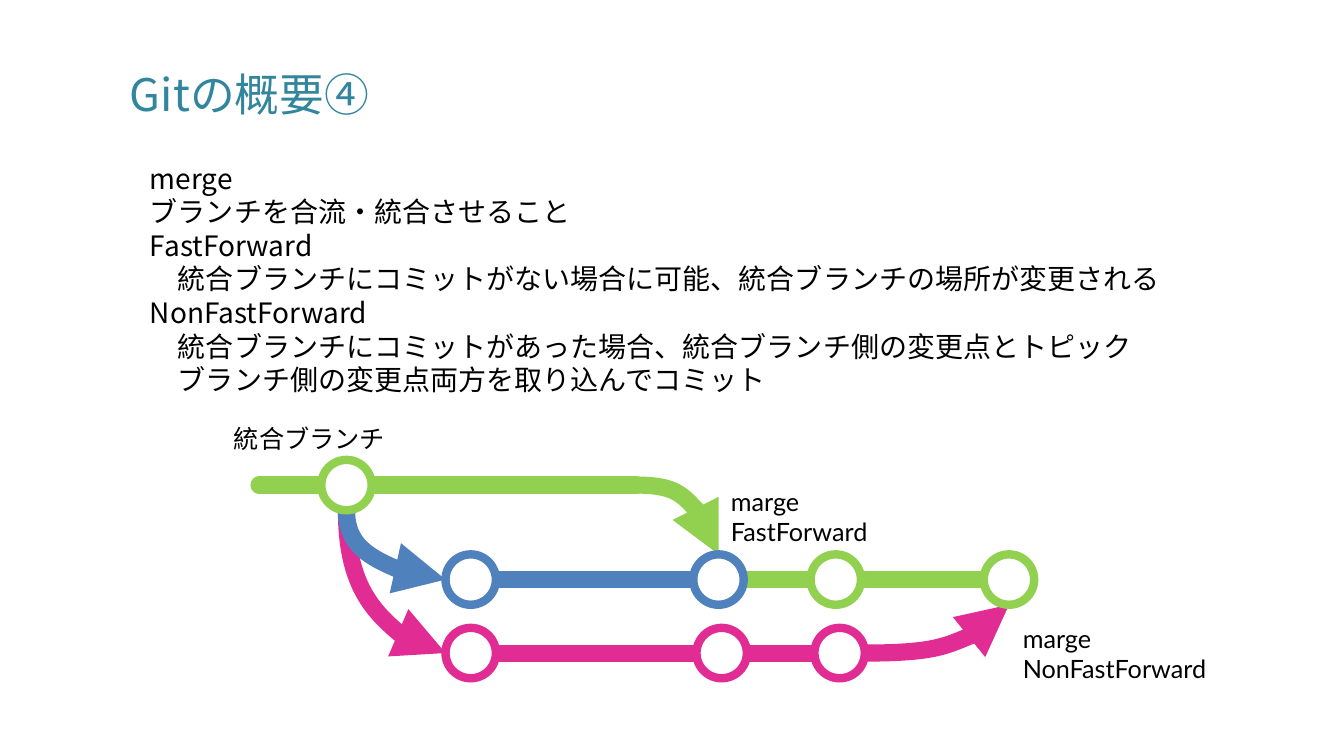
"""Slide on Git merging: fast-forward and non-fast-forward branch diagram."""
from lxml.etree import SubElement
from pptx import Presentation
from pptx.dml.color import RGBColor
from pptx.enum.shapes import MSO_CONNECTOR, MSO_SHAPE
from pptx.enum.text import MSO_AUTO_SIZE
from pptx.oxml.ns import qn
from pptx.util import Pt

TEAL = RGBColor(0x31, 0x85, 0x9C)
BLACK = RGBColor(0, 0, 0)
WHITE = RGBColor(0xFF, 0xFF, 0xFF)
GREEN = RGBColor(0x92, 0xD0, 0x50)
BLUE = RGBColor(0x4F, 0x81, 0xBD)
PINK = RGBColor(0xE0, 0x2C, 0x93)
GOTHIC = "Noto Sans CJK JP"
LATO = "Lato"

MAIN_Y, TOPIC_Y, LOWER_Y = 346.5, 414, 466.5
ROOT_X, FORK_X, BEND_X = 247.5, 336.25, 454.5
FAST_X, NEXT_X, FINAL_X = 513.25, 597, 720.75
LOWER_MID_X, LOWER_LAST_X = 515.5, 599.75
RADIUS = 18

prs = Presentation()
prs.slide_width, prs.slide_height = Pt(960), Pt(540)
slide = prs.slides.add_slide(prs.slide_layouts[6])


def add_text(lines, box, size, font, color, spacing=None, wrap=True):
    frame = slide.shapes.add_textbox(*map(Pt, box)).text_frame
    frame.word_wrap = wrap
    frame.auto_size = MSO_AUTO_SIZE.NONE if wrap else MSO_AUTO_SIZE.SHAPE_TO_FIT_TEXT
    frame.text = "\n".join(lines)
    for paragraph in frame.paragraphs:
        paragraph.line_spacing = spacing
        for run in paragraph.runs:
            run.font.size = Pt(size)
            run.font.name = font
            run.font.color.rgb = color
            SubElement(run.font._element, qn("a:ea"), typeface=font)


def add_branch(kind, begin, end, color):
    branch = slide.shapes.add_connector(kind, *map(Pt, begin + end))
    branch.line.color.rgb = color
    branch.line.width = Pt(12.25)
    properties = branch._element.spPr
    outline = properties.find(qn("a:ln"))
    outline.set("cap", "rnd")
    if kind == MSO_CONNECTOR.CURVE:
        properties.find(qn("a:prstGeom")).set("prst", "curvedConnector2")
        SubElement(outline, qn("a:tailEnd"), type="triangle")
    SubElement(properties, qn("a:effectLst"))
    return branch


add_text(["Gitの概要④"], (85.75, 48.25, 383, 63.25), 32, GOTHIC, TEAL, 0.9)
add_text(
    [
        "merge",
        "ブランチを合流・統合させること",
        "FastForward",
        "　統合ブランチにコミットがない場合に可能、統合ブランチの場所が変更される",
        "NonFastForward",
        "　統合ブランチにコミットがあった場合、統合ブランチ側の変更点とトピック",
        "　ブランチ側の変更点両方を取り込んでコミット",
    ],
    (100, 111.5, 771, 273.5), 20, GOTHIC, BLACK, Pt(24),
)

for begin_x, end_x, y, color in [
    (185, ROOT_X - RADIUS, MAIN_Y, GREEN),
    (ROOT_X + RADIUS, BEND_X, MAIN_Y, GREEN),
    (FORK_X + RADIUS, FAST_X - RADIUS, TOPIC_Y, BLUE),
    (FAST_X + RADIUS, NEXT_X - RADIUS, TOPIC_Y, GREEN),
    (NEXT_X + RADIUS, FINAL_X - RADIUS, TOPIC_Y, GREEN),
    (FORK_X + RADIUS, LOWER_MID_X - RADIUS, LOWER_Y, PINK),
    (LOWER_MID_X + RADIUS, LOWER_LAST_X - RADIUS, LOWER_Y, PINK),
]:
    add_branch(MSO_CONNECTOR.STRAIGHT, (begin_x, y), (end_x, y), color)

fork_top = MAIN_Y + RADIUS
fork_width = FORK_X - RADIUS - ROOT_X
fork_middle = ROOT_X + fork_width / 2
for y, color in [(LOWER_Y, PINK), (TOPIC_Y, BLUE)]:
    half_drop = (y - fork_top) / 2
    fork = add_branch(
        MSO_CONNECTOR.CURVE,
        (fork_middle + half_drop, fork_top + half_drop - fork_width / 2),
        (fork_middle - half_drop, fork_top + half_drop + fork_width / 2),
        color,
    )
    fork._element.spPr.find(qn("a:xfrm")).set("rot", str(270 * 60000))

add_branch(MSO_CONNECTOR.CURVE, (BEND_X, MAIN_Y), (FAST_X, TOPIC_Y - RADIUS), GREEN)
add_branch(MSO_CONNECTOR.CURVE, (LOWER_LAST_X + RADIUS, LOWER_Y),
           (FINAL_X, TOPIC_Y + RADIUS), PINK)

for x, y, color in [
    (ROOT_X, MAIN_Y, GREEN),
    (FORK_X, TOPIC_Y, BLUE),
    (FAST_X, TOPIC_Y, BLUE),
    (NEXT_X, TOPIC_Y, GREEN),
    (FINAL_X, TOPIC_Y, GREEN),
    (FORK_X, LOWER_Y, PINK),
    (LOWER_MID_X, LOWER_Y, PINK),
    (LOWER_LAST_X, LOWER_Y, PINK),
]:
    commit = slide.shapes.add_shape(
        MSO_SHAPE.FLOWCHART_CONNECTOR,
        Pt(x - RADIUS), Pt(y - RADIUS), Pt(2 * RADIUS), Pt(2 * RADIUS),
    )
    commit.shadow.inherit = False
    commit.fill.solid()
    commit.fill.fore_color.rgb = WHITE
    commit.line.color.rgb = color
    commit.line.width = Pt(6)

for lines, box in [
    (["統合ブランチ"], (160, 299, 124, 29)),
    (["marge", "FastForward"], (515, 343.5, 115, 51)),
    (["marge", "NonFastForward"], (723.5, 441.5, 146, 51)),
]:
    add_text(lines, box, 18, LATO, BLACK, wrap=False)

prs.save("out.pptx")
